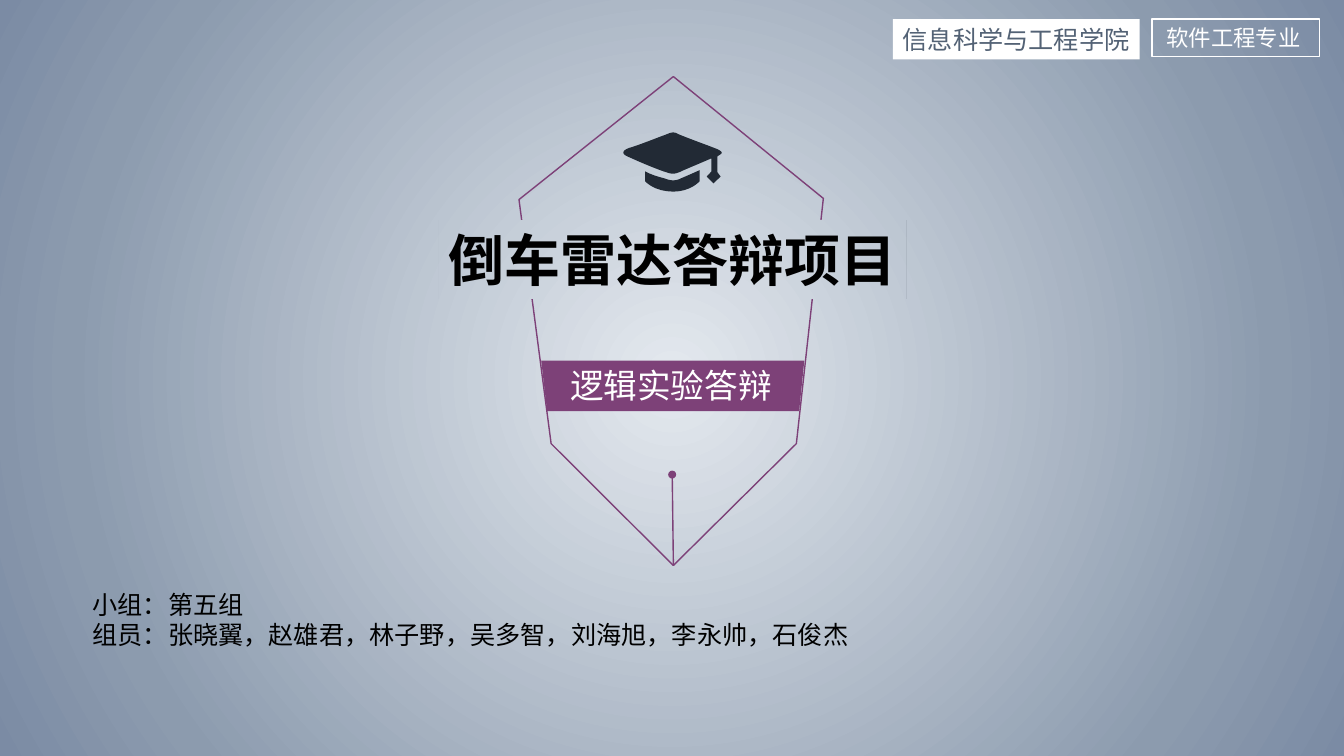
import dataclasses

import lxml.etree
import pptx
import pptx.dml.color
import pptx.enum.shapes
import pptx.enum.text
import pptx.oxml
import pptx.oxml.ns
import pptx.util

Cm = pptx.util.Cm
SHAPE = pptx.enum.shapes.MSO_SHAPE
ALIGN = pptx.enum.text.PP_ALIGN


@dataclasses.dataclass(frozen=True)
class Theme:
    """Colours, font and type sizes of the slide."""
    font: str = "Arial"
    accent: str = "7D4178"
    white: str = "FFFFFF"
    black: str = "000000"
    slate: str = "536275"
    navy: str = "222A35"
    backdrop: tuple = ((0, "E4E9EF"), (78, "8C9BAE"), (100, "7B8BA4"))
    title: int = 40
    subtitle: int = 24
    body: int = 18
    label: int = 16
    stroke: int = 1


def rgb(value):
    """Turn a hex string into a colour."""
    return pptx.dml.color.RGBColor.from_string(value)


def write(shape, text, *, size, color, font, bold=False, align=ALIGN.LEFT, wrap=True):
    """Fill a shape with formatted text, one paragraph per line."""
    frame = shape.text_frame
    frame.word_wrap = wrap
    frame.vertical_anchor = pptx.enum.text.MSO_ANCHOR.TOP
    frame.text = text
    for paragraph in frame.paragraphs:
        paragraph.alignment = align
        run_font = paragraph.runs[0].font
        run_font.name, run_font.size, run_font.bold = font, pptx.util.Pt(size), bold
        run_font.color.rgb = rgb(color)


def flatten(contour, steps=8):
    """Turn points and cubic curves (three points each) into plain points."""
    points = []
    for part in contour:
        if not isinstance(part[0], tuple):
            points.append(part)
            continue
        nodes = (points[-1], *part)
        for step in range(1, steps + 1):
            t = step / steps
            weights = ((1 - t) ** 3, 3 * t * (1 - t) ** 2, 3 * t * t * (1 - t), t ** 3)
            points.append(tuple(sum(w * node[axis] for w, node in zip(weights, nodes))
                                for axis in (0, 1)))
    return [(Cm(x), Cm(y)) for x, y in points]


class Cover:
    """Draws elements on one slide in one style; lengths are centimetres."""

    def __init__(self, slide, theme):
        self.slide, self.theme = slide, theme

    def backdrop(self):
        """Give the slide a radial gradient."""
        self.slide.background.fill.gradient()
        stops = "".join(f'<a:gs pos="{position * 1000}"><a:srgbClr val="{color}"/></a:gs>'
                        for position, color in self.theme.backdrop)
        radial = pptx.oxml.parse_xml(
            f'<a:gradFill {pptx.oxml.ns.nsdecls("a")} rotWithShape="1"><a:gsLst>{stops}</a:gsLst>'
            '<a:path path="circle"><a:fillToRect l="50000" t="50000" r="50000" b="50000"/>'
            '</a:path></a:gradFill>')
        linear = next(self.slide.element.iter(pptx.oxml.ns.qn("a:gradFill")))
        linear.getparent().replace(linear, radial)

    def paint(self, shape, fill=None, line=None):
        """Set fill and line, and drop the shadow."""
        shape.shadow.inherit = False
        if fill:
            shape.fill.solid()
            shape.fill.fore_color.rgb = rgb(fill)
        else:
            shape.fill.background()
        if line:
            shape.line.color.rgb = rgb(line)
            shape.line.width = pptx.util.Pt(self.theme.stroke)
        else:
            shape.line.fill.background()
        return shape

    def shape(self, kind, box, fill=None, line=None):
        """Add a preset shape."""
        shape = self.slide.shapes.add_shape(kind, *map(Cm, box))
        return self.paint(shape, fill, line)

    def mask(self, box):
        """Add a rectangle that shows the slide background."""
        shape = self.slide.shapes.add_shape(SHAPE.RECTANGLE, *map(Cm, box))
        shape.shadow.inherit = False
        shape.line.fill.background()
        shape.element.set("useBgFill", "1")
        return shape

    def text(self, box, text, **style):
        """Add a text box."""
        write(self.slide.shapes.add_textbox(*map(Cm, box)), text, font=self.theme.font, **style)

    def outline(self, *contours, fill=None, line=None):
        """Add a freeform of closed contours."""
        builder = None
        for contour in contours:
            start, *rest = flatten(contour)
            if builder is None:
                builder = self.slide.shapes.build_freeform(*start)
            else:
                builder.move_to(*start)
            builder.add_line_segments(rest, close=True)
        return self.paint(builder.convert_to_shape(), fill, line)

    def line(self, start, end, color):
        """Add a straight line."""
        connector = self.slide.shapes.add_connector(
            pptx.enum.shapes.MSO_CONNECTOR.STRAIGHT, *map(Cm, start + end))
        connector.line.color.rgb = rgb(color)
        connector.line.width = pptx.util.Pt(self.theme.stroke)
        properties = connector.element.find(pptx.oxml.ns.qn("p:spPr"))
        lxml.etree.SubElement(properties, pptx.oxml.ns.qn("a:effectLst"))


def main():
    """Build and save the cover slide."""
    presentation = pptx.Presentation()
    presentation.slide_width, presentation.slide_height = Cm(33.87), Cm(19.05)
    theme = Theme()
    cover = Cover(presentation.slides.add_slide(presentation.slide_layouts[6]), theme)
    cover.backdrop()

    cover.text((28.73, 0.48, 4.72, 0.94), "软件工程专业",
               size=theme.label, color=theme.white, align=ALIGN.CENTER)
    college = cover.shape(SHAPE.RECTANGLE, (22.5, 0.48, 6.22, 1.02), fill=theme.white)
    write(college, "信息科学与工程学院", size=theme.body, color=theme.slate,
          font=theme.font, wrap=False)
    cover.shape(SHAPE.RECTANGLE, (29.03, 0.48, 4.22, 0.94), line=theme.white)

    nib_tip = (16.97, 14.25)
    nib = [(13.08, 5.03), (16.97, 1.93), (20.75, 5), (20.07, 11.18), nib_tip, (13.89, 11.18)]
    cover.outline(nib, line=theme.accent)
    ribbon = [(13.64, 9.09), (20.27, 9.09), (20.14, 10.36), (13.79, 10.36)]
    cover.outline(ribbon, fill=theme.accent)
    cover.text((14.12, 9.07, 5.59, 1.27), "逻辑实验答辩",
               size=theme.subtitle, color=theme.white, wrap=False)
    title = cover.mask((11.05, 5.56, 11.79, 1.96))
    write(title, "倒车雷达答辩项目", size=theme.title, color=theme.black, font=theme.font,
          bold=True, align=ALIGN.CENTER, wrap=False)
    cover.line(nib_tip, (16.94, 11.91), theme.accent)
    cover.shape(SHAPE.OVAL, (16.84, 11.86, 0.2, 0.2), fill=theme.accent)

    cap_board = [
        (18.08, 3.94), (18.08, 4.34), (18.16, 4.45), (17.98, 4.62), (17.81, 4.45),
        (17.93, 4.32), (17.93, 3.99),
        ((17.4, 4.22), (17.22, 4.29), (17.12, 4.34)),
        ((16.99, 4.39), (16.92, 4.39), (16.79, 4.34)),
        ((16.69, 4.32), (16.13, 4.09), (15.85, 3.96)),
        ((15.67, 3.89), (15.65, 3.81), (15.85, 3.73)),
        ((16.1, 3.66), (16.54, 3.48), (16.76, 3.4)),
        ((16.89, 3.35), (16.97, 3.3), (17.09, 3.38)),
        ((17.32, 3.48), (17.83, 3.66), (18.08, 3.76)),
        ((18.29, 3.86), (18.14, 3.89), (18.08, 3.94))]
    cap_base = [
        (17.15, 4.5), ((17.27, 4.45), (17.45, 4.37), (17.63, 4.29)), (17.63, 4.57),
        ((17.63, 4.57), (17.4, 4.83), (16.97, 4.83)),
        ((16.48, 4.83), (16.26, 4.57), (16.26, 4.57)), (16.26, 4.32),
        ((16.38, 4.39), (16.56, 4.45), (16.76, 4.5)),
        ((16.87, 4.55), (17.02, 4.57), (17.15, 4.5))]
    cover.outline(cap_board, cap_base, fill=theme.navy)

    cover.text((2.08, 14.73, 29.79, 1.8),
               "小组：第五组\n组员：张晓翼，赵雄君，林子野，吴多智，刘海旭，李永帅，石俊杰",
               size=theme.body, color=theme.black)
    presentation.save("out.pptx")


if __name__ == "__main__":
    main()
